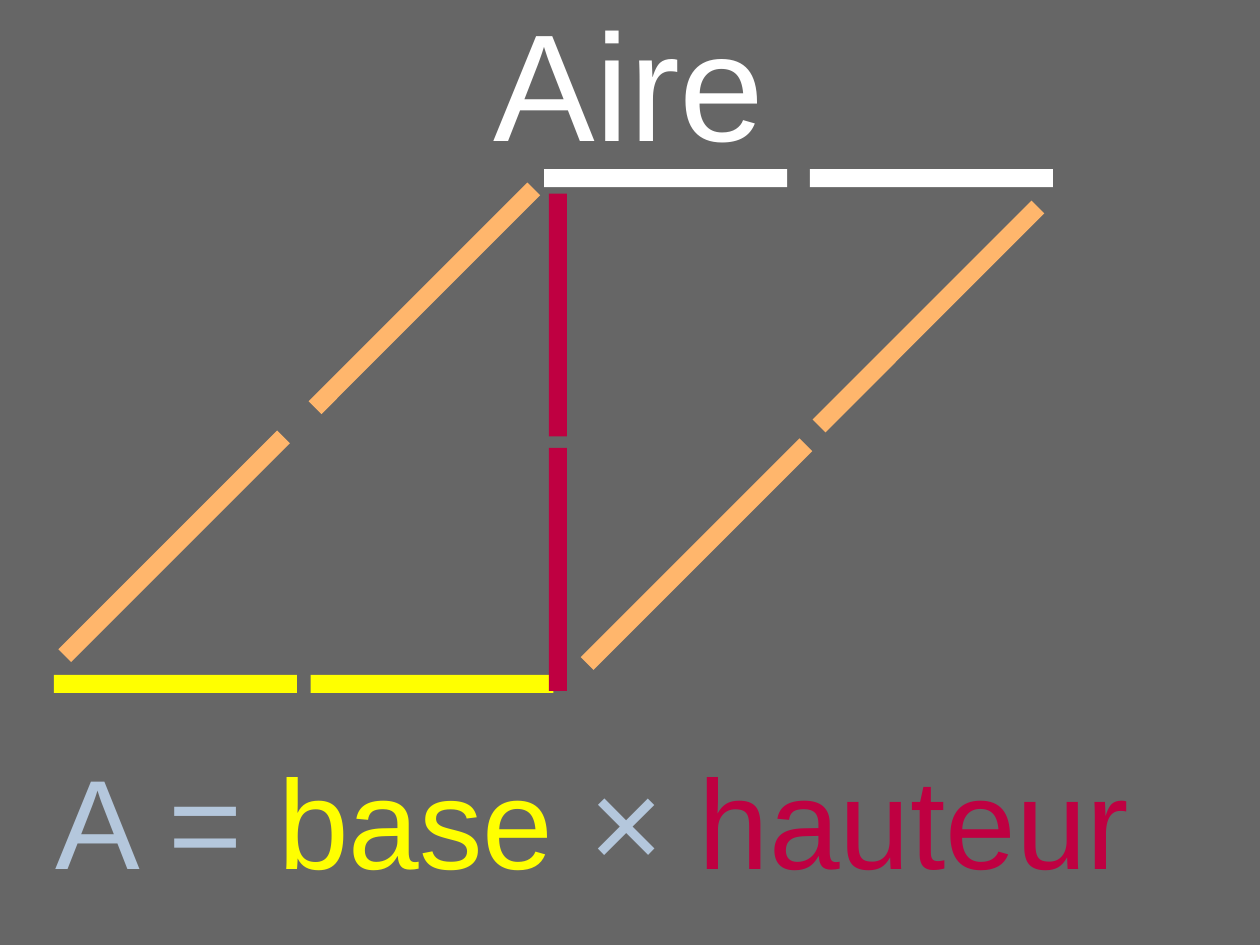
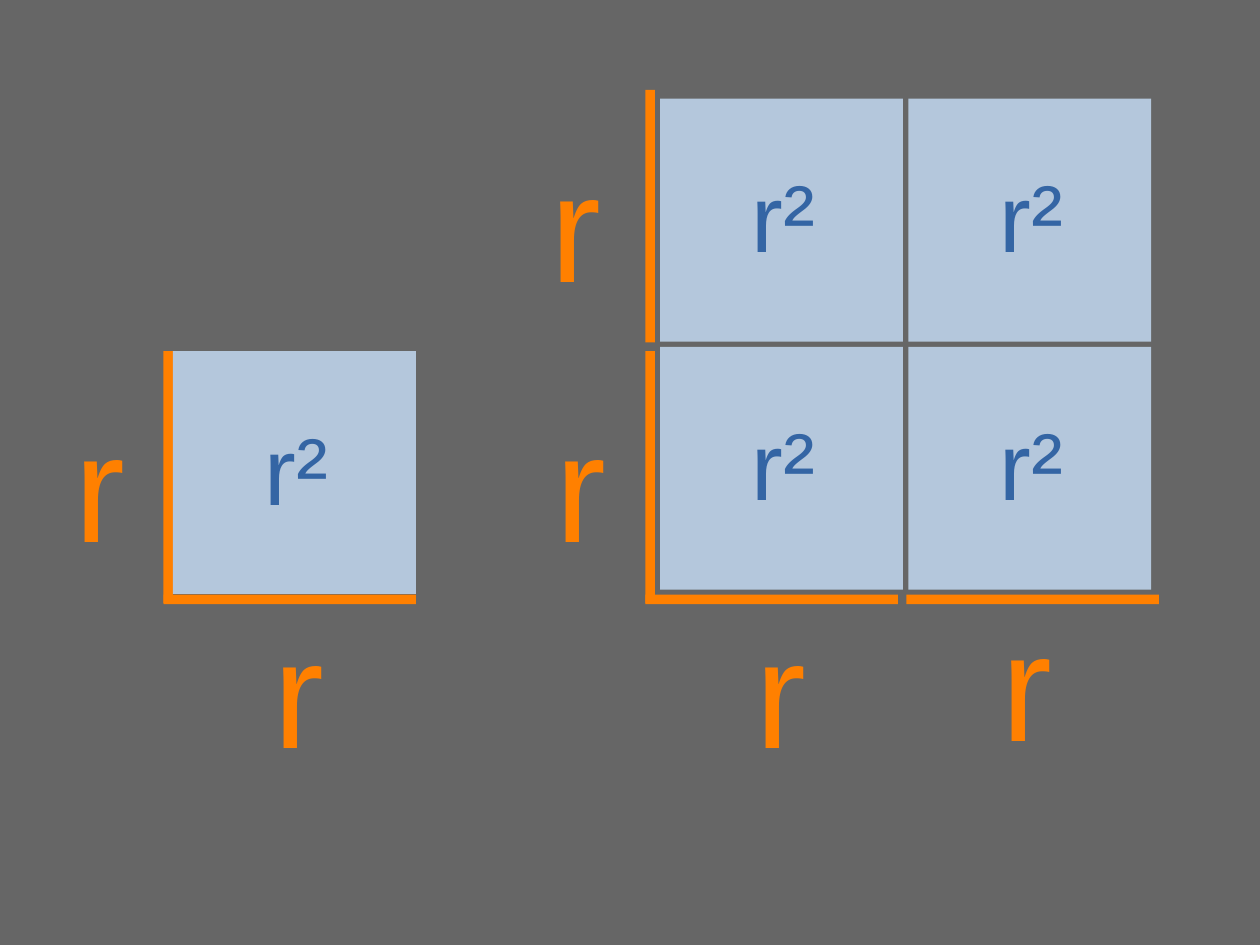
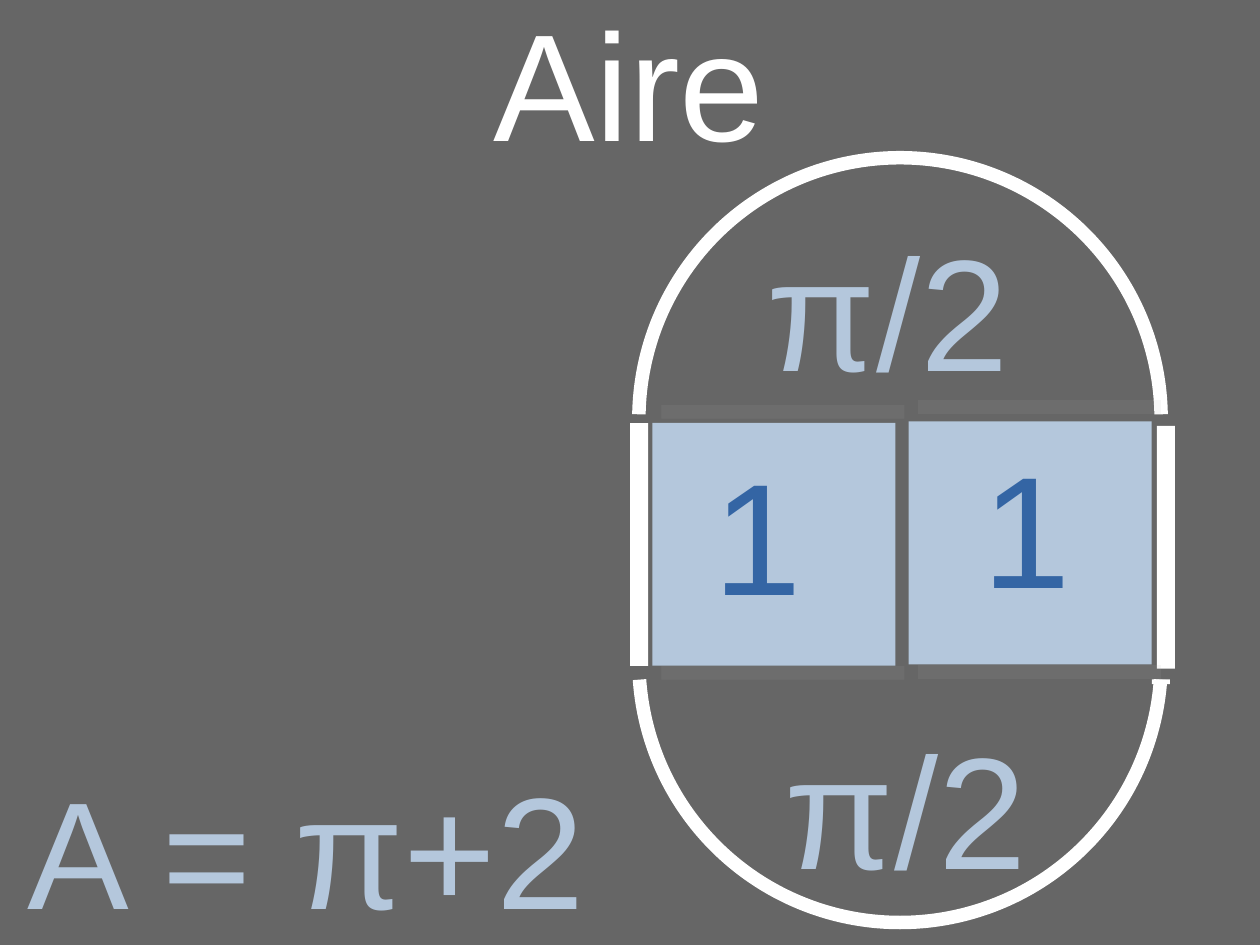
from lxml import etree
from pptx import Presentation
from pptx import util as u
from pptx.dml import color
from pptx.enum import shapes, text
from pptx.oxml import ns

GREY, WHITE, YELLOW, RED = "666666", "FFFFFF", "FFFF00", "BF0041"
PEACH, ORANGE, PALE, BLUE, SILVER = "FFB66C", "FF8000", "B4C7DC", "3465A4", "B2B2B2"
FONT = "Arial"
UNIT, THICK = 153, 11.4
RADIUS_LENGTH, RADIUS_THICK = 159, 6
LINE_FACTOR = 1.2


def rgb(value):
    return color.RGBColor.from_string(value)


def points(*lengths):
    return [u.Pt(length) for length in lengths]


def add_spans(frame, spans, size, align=text.PP_ALIGN.LEFT):
    para = frame.paragraphs[0]
    para.alignment = align
    para.line_spacing = u.Pt(LINE_FACTOR * size)
    for content, ink, span_size in spans:
        span = para.add_run()
        span.text = content
        span.font.name = FONT
        span.font.size = u.Pt(span_size)
        span.font.color.rgb = rgb(ink)


def add_text(holder, content, left, top, width=48, size=96, ink=PALE, spans=None):
    height = LINE_FACTOR * size + 7.2
    box = holder.shapes.add_textbox(*points(left, top, width, height))
    box.text_frame.word_wrap = True
    add_spans(box.text_frame, spans or [(content, ink, size)], size)


def add_bar(holder, left, top, width, height, fill, turn=0, opacity=100):
    bar = holder.shapes.add_shape(
        shapes.MSO_SHAPE.RECTANGLE, *points(left, top, width, height))
    bar.shadow.inherit = False
    bar.rotation = turn
    bar.line.fill.background()
    bar.fill.solid()
    bar.fill.fore_color.rgb = rgb(fill)
    if opacity < 100:
        tint = bar.element.spPr.find(".//" + ns.qn("a:srgbClr"))
        etree.SubElement(tint, ns.qn("a:alpha"), val=str(opacity * 1000))


def add_arc(page, left, top, size, start, end):
    arc = page.shapes.add_shape(shapes.MSO_SHAPE.ARC, *points(left, top, size, size))
    arc.shadow.inherit = False
    arc.fill.background()
    arc.line.color.rgb = rgb(WHITE)
    arc.line.width = u.Pt(8.5)
    for index, degrees in enumerate((start, end)):
        arc.adjustments[index] = degrees * 0.6


def add_square(page, left, top, label, shift_x, shift_y, size):
    group = page.shapes.add_group_shape()
    add_bar(group, left, top, UNIT, UNIT, PALE)
    add_text(group, label, left + shift_x, top + shift_y, width=93, size=size, ink=BLUE)


def set_title(page, left, top, spans, size, align):
    title = page.shapes.title
    title.left, title.top, title.width, title.height = points(left, top, 454.4, 124.6)
    frame = title.text_frame
    frame.auto_size = text.MSO_AUTO_SIZE.NONE
    frame.vertical_anchor = text.MSO_ANCHOR.MIDDLE
    frame.margin_left = frame.margin_right = frame.margin_top = frame.margin_bottom = 0
    add_spans(frame, spans, size, align)


def add_titled_page(deck):
    page = deck.slides.add_slide(deck.slide_layouts[5])
    set_title(page, 169.2, -11.5, [("Aire", WHITE, 96)], 96, text.PP_ALIGN.CENTER)
    return page


def build_parallelogram(deck):
    page = add_titled_page(deck)
    for left, top in ((12.2, 338.4), (169.9, 182.2), (341.3, 343.4), (487.4, 193.7)):
        add_bar(page, left, top, 195, THICK, PEACH, turn=315)
    for left, top, fill in ((342.8, 106.5, WHITE), (510.2, 106.5, WHITE),
                            (195.7, 425.2, YELLOW), (34, 425.2, YELLOW)):
        add_bar(page, left, top, UNIT, THICK, fill)
    for top in (282.2, 122):
        add_bar(page, 345.8, top, THICK, UNIT, RED)
    add_text(page, "", 28, 464, width=740, size=80, spans=[
        ("A = ", PALE, 80), ("base ", YELLOW, 80), ("× ", PALE, 80), ("hauteur", RED, 80)])


def build_radius_squares(deck):
    page = deck.slides.add_slide(deck.slide_layouts[6])
    for left in (103, 406.6, 571):
        add_bar(page, left, 374.6, RADIUS_LENGTH, RADIUS_THICK, ORANGE)
    for left, top in ((103, 221.2), (406.6, 221.2), (406.6, 56.7)):
        add_bar(page, left, top, RADIUS_THICK, RADIUS_LENGTH, ORANGE)
    for left, top in ((39.6, 242), (165.4, 372.2), (342.7, 242),
                      (468.7, 372.2), (339.8, 78.7), (623.6, 367.5)):
        add_text(page, "r", left, top, ink=ORANGE)
    grid = [(415.8 + 156.4 * column, 62.2 + 156.3 * row)
            for row in range(2) for column in range(2)]
    for left, top in [(109, 221.2)] + grid:
        add_square(page, left, top, "r²", 50.4, 33.4, 60)


def build_stadium(deck):
    page = add_titled_page(deck)
    for top, start, end in ((99.4, 181, 359), (252.2, 4, 176)):
        add_arc(page, 402.5, top, 329, start, end)
    for left, top, height in ((725.6, 428, 3), (728.8, 268.3, UNIT), (397, 266.5, UNIT)):
        add_bar(page, left, top, THICK, height, WHITE)
    for left, top in ((578.3, 252), (416.7, 255), (578.3, 419), (416.7, 419.5)):
        add_bar(page, left, top, UNIT, 8.7, SILVER, opacity=10)
    add_square(page, 411, 266.4, "1", 31.1, 5, 100)
    add_square(page, 572.4, 265.5, "1", 39.6, 2, 100)
    for left, top in ((476, 130.5), (487.4, 444.2)):
        add_text(page, "π/2", left, top, width=204, size=100)
    closing = page.shapes.add_textbox(*points(17.2, 470.9, 454.4, 124.6))
    frame = closing.text_frame
    frame.word_wrap = True
    frame.vertical_anchor = text.MSO_ANCHOR.MIDDLE
    frame.margin_left = frame.margin_right = frame.margin_top = frame.margin_bottom = 0
    add_spans(frame, [("A = ", PALE, 96), ("π+2", PALE, 100)], 100)


def main():
    deck = Presentation()
    deck.slide_width, deck.slide_height = points(793.7, 595.3)
    backdrop = deck.slide_master.background.fill
    backdrop.solid()
    backdrop.fore_color.rgb = rgb(GREY)
    build_parallelogram(deck)
    build_radius_squares(deck)
    build_stadium(deck)
    deck.save("out.pptx")


if __name__ == "__main__":
    main()
